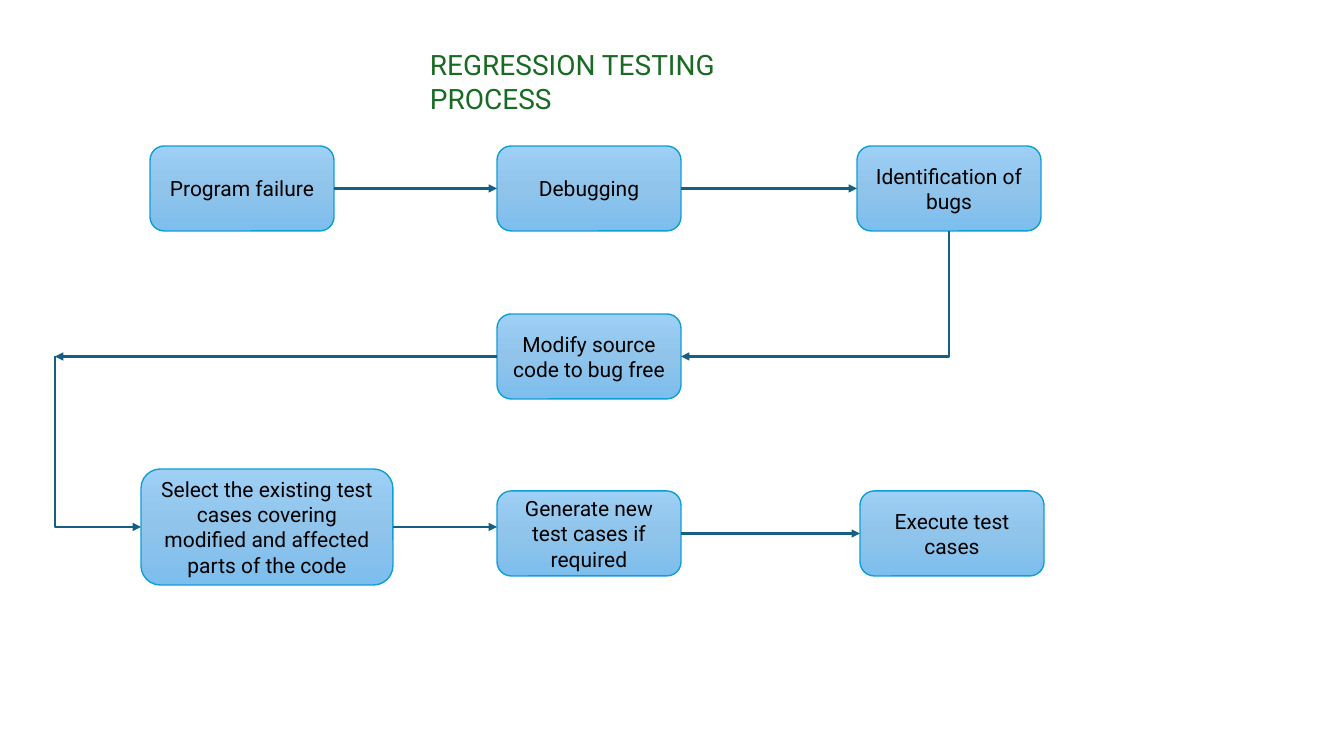
from copy import deepcopy

from pptx import Presentation
from pptx.dml.color import RGBColor
from pptx.enum.shapes import MSO_CONNECTOR, MSO_SHAPE
from pptx.enum.text import MSO_ANCHOR, PP_ALIGN
from pptx.oxml.ns import qn
from pptx.oxml.xmlchemy import OxmlElement
from pptx.util import Pt

EMU_PER_PX = 914400 / 100.8
FONT = "Roboto"
BOX_W, BOX_H = 184, 85
LEFT_X, MIDDLE_X, RIGHT_X = 150, 497, 857
ROW_1, ROW_2, ROW_3 = 146, 314, 491
GRADIENT = [(0, "9ECFF5"), (0.5, "90C4EB"), (1, "7CBEED")]


def px(n):
    return round(n * EMU_PER_PX)


def color(hex_string):
    return RGBColor.from_string(hex_string)


def set_font(p, size, hex_color):
    p.font.name = FONT
    p.font.size = Pt(size)
    p.font.color.rgb = color(hex_color)


def add_title(s, text, x, y, w, h):
    tf = s.shapes.add_textbox(px(x), px(y), px(w), px(h)).text_frame
    tf.word_wrap = True
    p = tf.paragraphs[0]
    p.text = text
    set_font(p, 20, "196B24")


def fill_gradient(sp):
    sp.fill.gradient()
    sp.fill.gradient_angle = 270
    stop_list = sp._element.spPr.find(qn("a:gradFill")).find(qn("a:gsLst"))
    stop_list.append(deepcopy(stop_list[0]))
    for stop, (position, hex_color) in zip(sp.fill.gradient_stops, GRADIENT):
        stop.position = position
        stop.color.rgb = color(hex_color)


def add_step(s, text, x, y, w=BOX_W, h=BOX_H):
    sp = s.shapes.add_shape(MSO_SHAPE.ROUNDED_RECTANGLE, px(x), px(y), px(w), px(h))
    sp.shadow.inherit = False
    fill_gradient(sp)
    sp.line.color.rgb = color("0F9ED5")
    sp.line.width = Pt(1)
    tf = sp.text_frame
    tf.word_wrap = True
    tf.vertical_anchor = MSO_ANCHOR.MIDDLE
    p = tf.paragraphs[0]
    p.text = text
    p.alignment = PP_ALIGN.CENTER
    set_font(p, 15, "000000")


def add_arrow(s, x1, y1, x2, y2, kind=MSO_CONNECTOR.STRAIGHT):
    cxn = s.shapes.add_connector(kind, px(x1), px(y1), px(x2), px(y2))
    cxn.line.color.rgb = color("156082")
    cxn.line.width = Pt(1.5)
    head = OxmlElement("a:tailEnd")
    head.set("type", "triangle")
    cxn.line._get_or_add_ln().append(head)
    cxn._element.spPr.append(OxmlElement("a:effectLst"))
    return cxn


def add_elbow(s, x1, y1, x2, y2):
    """Arrow that runs down first, then sideways: a turned one-bend connector."""
    cx, cy = (x1 + x2) / 2, (y1 + y2) / 2
    half_w, half_h = abs(y2 - y1) / 2, abs(x2 - x1) / 2
    turn = 90
    if x2 > x1:
        half_w, turn = -half_w, 270
    cxn = add_arrow(s, cx - half_w, cy - half_h, cx + half_w, cy + half_h,
                    MSO_CONNECTOR.ELBOW)
    spPr = cxn._element.spPr
    spPr.find(qn("a:xfrm")).set("rot", str(turn * 60000))
    spPr.find(qn("a:prstGeom")).set("prst", "bentConnector2")


def main():
    prs = Presentation()
    prs.slide_width, prs.slide_height = px(1344), px(756)
    s = prs.slides.add_slide(prs.slide_layouts[6])

    add_title(s, "REGRESSION TESTING PROCESS", 420, 43, 424, 44)

    # Process steps
    add_step(s, "Program failure", LEFT_X, ROW_1)
    add_step(s, "Debugging", MIDDLE_X, ROW_1)
    add_step(s, "Identification of bugs", RIGHT_X, ROW_1)
    add_step(s, "Modify source code to bug free", MIDDLE_X, ROW_2)
    add_step(s, "Select the existing test cases covering modified and affected "
                "parts of the code", 141, 469, 252, 116)
    add_step(s, "Generate new test cases if required", MIDDLE_X, ROW_3)
    add_step(s, "Execute test cases", 860, ROW_3)

    # Arrows along the first row
    middle_end = MIDDLE_X + BOX_W
    y = ROW_1 + BOX_H / 2
    add_arrow(s, LEFT_X + BOX_W, y, MIDDLE_X, y)
    add_arrow(s, middle_end, y, RIGHT_X, y)

    # Arrows back through the second row
    y = ROW_2 + BOX_H / 2
    add_elbow(s, RIGHT_X + BOX_W / 2, ROW_1 + BOX_H, middle_end, y)
    add_arrow(s, MIDDLE_X, y, 55, y)
    add_elbow(s, 55, y, 141, 527)

    # Arrows along the third row
    add_arrow(s, 393, 527, MIDDLE_X, 527)
    y = ROW_3 + BOX_H / 2
    add_arrow(s, middle_end, y, 860, y)

    prs.save("out.pptx")


if __name__ == "__main__":
    main()
